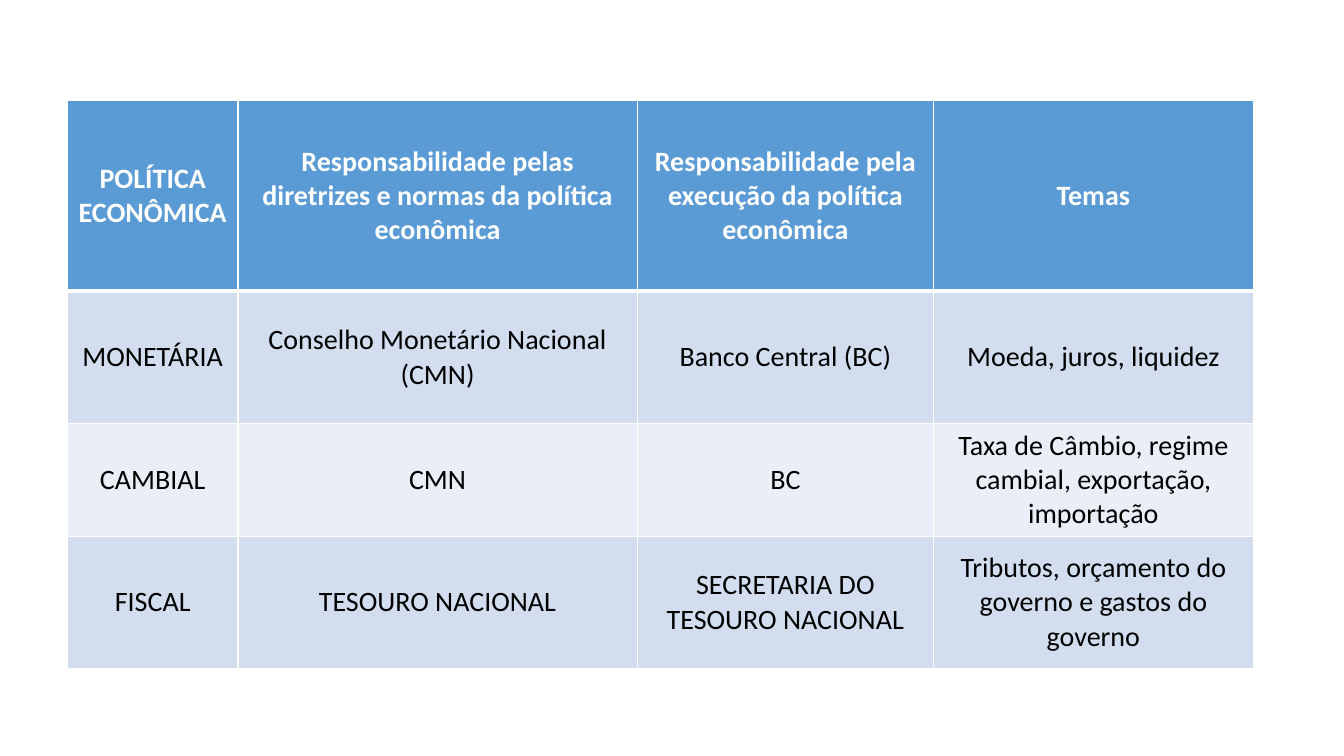
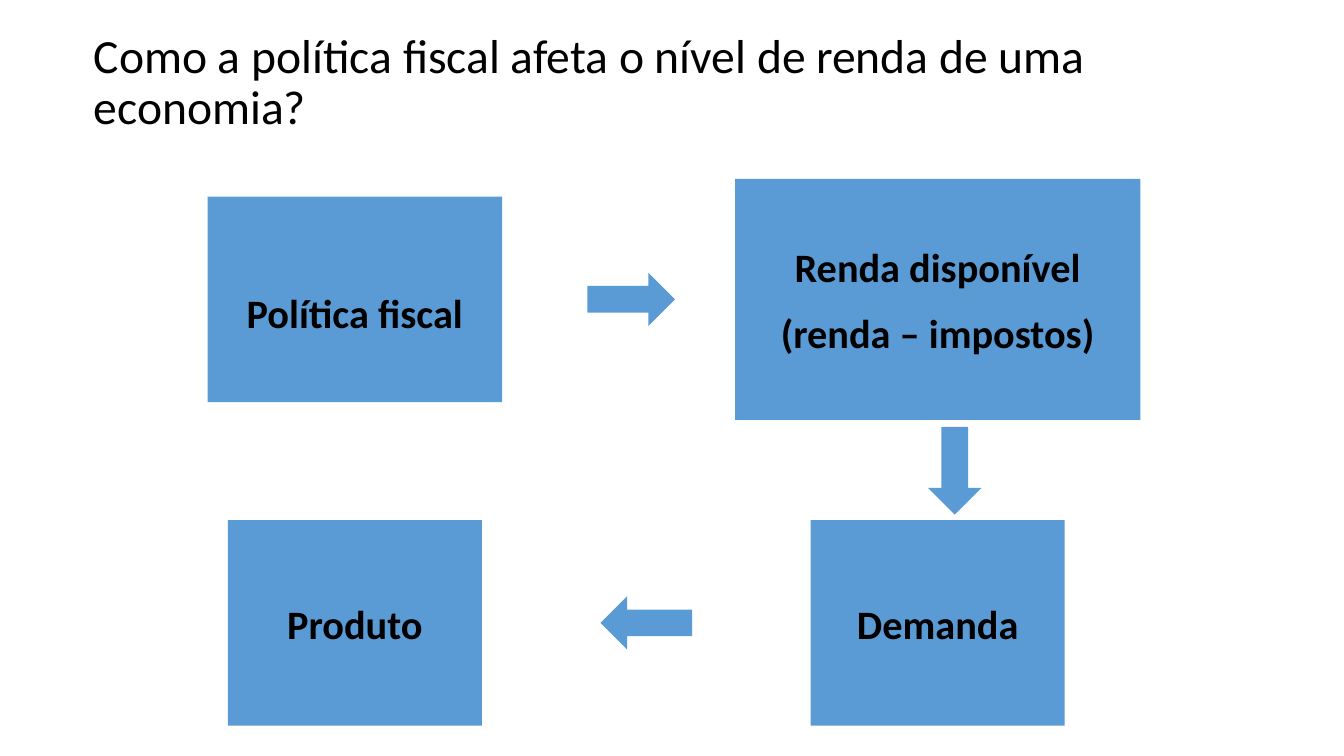
from lxml import etree
from pptx import Presentation
from pptx.dml.color import RGBColor
from pptx.enum.shapes import MSO_SHAPE
from pptx.enum.text import MSO_ANCHOR, PP_ALIGN
from pptx.oxml.ns import qn
from pptx.util import Inches, Pt

CENTER, LEFT = PP_ALIGN.CENTER, PP_ALIGN.LEFT
MIDDLE = MSO_ANCHOR.MIDDLE
RECTANGLE = MSO_SHAPE.RECTANGLE
RIGHT_ARROW = MSO_SHAPE.RIGHT_ARROW
DOWN_ARROW = MSO_SHAPE.DOWN_ARROW
LEFT_ARROW = MSO_SHAPE.LEFT_ARROW
TITLE_ONLY, BLANK = 5, 6

# Shared look
FONT = "Calibri"
COLORS = {
    "blue": "5B9BD5",
    "band_dark": "D2DEEF",
    "band_light": "EAEFF7",
    "white": "FFFFFF",
    "black": "000000",
}
TITLE_SIZE, TABLE_SIZE, BOX_SIZE = 34, 20, 28.8

# Content of the policy table
POLICY_ROWS = [
    ("POLÍTICA ECONÔMICA",
     "Responsabilidade pelas diretrizes e normas da política econômica",
     "Responsabilidade pela execução da política econômica",
     "Temas"),
    ("MONETÁRIA", "Conselho Monetário Nacional (CMN)",
     "Banco Central (BC)", "Moeda, juros, liquidez"),
    ("CAMBIAL", "CMN", "BC",
     "Taxa de Câmbio, regime cambial, exportação, importação"),
    ("FISCAL", "TESOURO NACIONAL", "SECRETARIA DO TESOURO NACIONAL",
     "Tributos, orçamento do governo e gastos do governo"),
]
TABLE_LEFT, TABLE_TOP = 0.67, 1
COLUMN_WIDTHS = [1.69, 3.96, 2.94, 3.17]
ROW_HEIGHTS = [1.89, 1.31, 1.12, 1.31]

# Content of the flow: centre x, centre y, width, height
FLOW_TITLE = "Como a política fiscal afeta o nível de renda de uma economia?"
LEFT_X, RIGHT_X = 3.52, 9.3
TOP_Y, BOTTOM_Y = 2.97, 6.18
FLOW_BOXES = [  # lines, place, top inset
    (["Política fiscal"], (LEFT_X, TOP_Y, 2.92, 2.04), 0.3),
    (["Renda disponível", "(renda – impostos)"],
     (RIGHT_X, TOP_Y, 4.02, 2.39), 0.05),
    (["Demanda"], (RIGHT_X, BOTTOM_Y, 2.52, 2.04), 0.05),
    (["Produto"], (LEFT_X, BOTTOM_Y, 2.52, 2.04), 0.05),
]
FLOW_ARROWS = [
    (RIGHT_ARROW, (6.26, TOP_Y, 0.87, 0.53)),
    (DOWN_ARROW, (9.47, 4.67, 0.53, 0.87)),
    (LEFT_ARROW, (6.41, BOTTOM_Y, 0.91, 0.53)),
]


def color(name):
    return RGBColor.from_string(COLORS[name])


def write_lines(frame, lines, size, ink, bold=False, align=CENTER, gap=0):
    frame.word_wrap = True
    for index, line in enumerate(lines):
        para = frame.paragraphs[0] if index == 0 else frame.add_paragraph()
        para.alignment = align
        if index:
            para.space_before = Pt(gap)
        span = para.add_run()
        span.text = line
        span.font.name = FONT
        span.font.size = Pt(size)
        span.font.bold = bold
        span.font.color.rgb = color(ink)


def set_borders(cell, top, bottom):
    properties = cell._tc.get_or_add_tcPr()
    for side, width in (("L", 1), ("R", 1), ("T", top), ("B", bottom)):
        line = etree.SubElement(properties, qn(f"a:ln{side}"), w=str(Pt(width)))
        fill = etree.SubElement(line, qn("a:solidFill"))
        etree.SubElement(fill, qn("a:srgbClr"), val=COLORS["white"])


def add_blue_shape(page, kind, place):
    center_x, center_y, width, height = place
    shape = page.shapes.add_shape(
        kind, Inches(center_x - width / 2), Inches(center_y - height / 2),
        Inches(width), Inches(height))
    shape.shadow.inherit = False
    shape.fill.solid()
    shape.fill.fore_color.rgb = color("blue")
    shape.line.fill.background()
    return shape


def build_policy_table(deck):
    page = deck.slides.add_slide(deck.slide_layouts[BLANK])
    table = page.shapes.add_table(
        len(ROW_HEIGHTS), len(COLUMN_WIDTHS),
        Inches(TABLE_LEFT), Inches(TABLE_TOP),
        Inches(sum(COLUMN_WIDTHS)), Inches(sum(ROW_HEIGHTS))).table
    for column, width in zip(table.columns, COLUMN_WIDTHS):
        column.width = Inches(width)
    for row, height in zip(table.rows, ROW_HEIGHTS):
        row.height = Inches(height)

    for row_index, texts in enumerate(POLICY_ROWS):
        header = row_index == 0
        band = "band_dark" if row_index % 2 else "band_light"
        for column_index, text in enumerate(texts):
            cell = table.cell(row_index, column_index)
            cell.vertical_anchor = MIDDLE
            # The thick rule sits between the header and the first row
            set_borders(cell, top=3 if row_index == 1 else 1,
                        bottom=3 if header else 1)
            cell.fill.solid()
            cell.fill.fore_color.rgb = color("blue" if header else band)
            write_lines(cell.text_frame, [text], TABLE_SIZE,
                        "white" if header else "black", bold=header)


def build_fiscal_flow(deck):
    page = deck.slides.add_slide(deck.slide_layouts[TITLE_ONLY])

    # Title
    title = page.shapes.title
    title.left, title.top = Inches(0.83), Inches(0.3)
    title.width, title.height = Inches(10.58), Inches(1.06)
    title.text_frame.vertical_anchor = MIDDLE
    write_lines(title.text_frame, [FLOW_TITLE], TITLE_SIZE, "black", align=LEFT)
    title.text_frame.paragraphs[0].line_spacing = 0.9

    # Boxes
    for lines, place, top_inset in FLOW_BOXES:
        box = add_blue_shape(page, RECTANGLE, place)
        frame = box.text_frame
        frame.vertical_anchor = MIDDLE
        frame.margin_top = Inches(top_inset)
        write_lines(frame, lines, BOX_SIZE, "black", bold=True, gap=13)

    # Arrows
    for kind, place in FLOW_ARROWS:
        add_blue_shape(page, kind, place)


def main():
    deck = Presentation()
    deck.slide_width, deck.slide_height = Inches(13.33), Inches(7.5)
    build_policy_table(deck)
    build_fiscal_flow(deck)
    deck.save("out.pptx")


if __name__ == "__main__":
    main()
